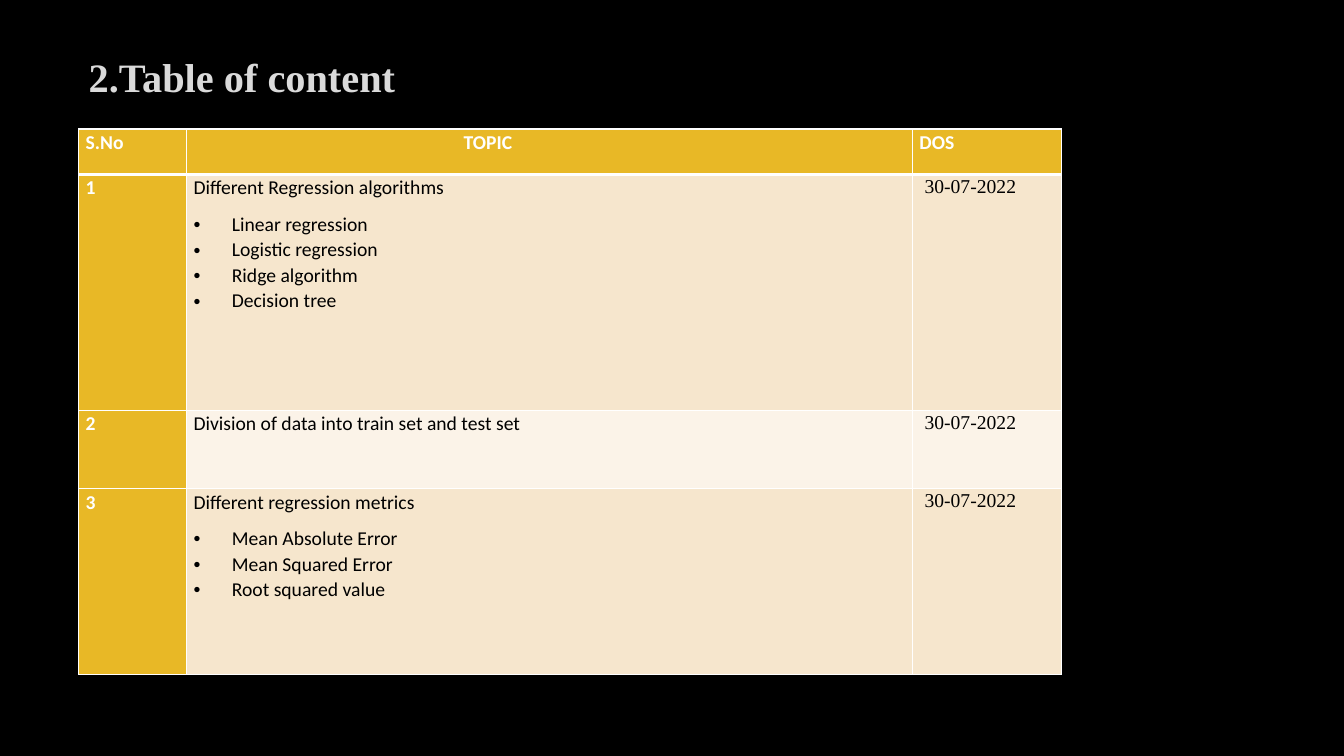
from lxml import etree
from pptx import Presentation
from pptx.dml.color import RGBColor
from pptx.enum import text
from pptx.oxml import ns
from pptx.util import Inches, Pt

GOLD, SAND, CREAM = "E8B826", "F6E6CD", "FBF3E8"
WHITE, BLACK, SILVER = "FFFFFF", "000000", "DADADA"
SANS, SERIF = "Calibri", "Times New Roman"
COLUMNS = [1.07, 7.2, 1.48]
ROWS = [0.45, 2.34, 0.78, 1.84]
DATE = "30-07-2022"
TOPICS = [
    ("Different Regression algorithms",
     ["Linear regression", "Logistic regression", "Ridge algorithm", "Decision tree"]),
    ("Division of data into train set and test set", []),
    ("Different regression metrics",
     ["Mean Absolute Error", "Mean Squared Error", "Root squared value"]),
]


def rgb(color):
    return RGBColor.from_string(color)


def format_paragraph(p, size, font, color, bold=False, after=8):
    p.alignment = text.PP_ALIGN.LEFT
    p.line_spacing = 1.07
    p.space_before = Pt(0)
    p.space_after = Pt(after)
    for r in p.runs:
        r.font.size = Pt(size)
        r.font.name = font
        r.font.bold = bold
        r.font.color.rgb = rgb(color)


def indent(p, left, first=0):
    pPr = p._p.get_or_add_pPr()
    pPr.set("marL", str(Inches(left)))
    pPr.set("indent", str(Inches(first)))


def add_bullet(p):
    indent(p, 0.38, -0.38)
    pPr = p._p.get_or_add_pPr()
    etree.SubElement(pPr, ns.qn("a:buFont"), typeface="Arial")
    etree.SubElement(pPr, ns.qn("a:buChar"), char="•")


def set_borders(cell, **widths):
    """Draw white borders, 1 pt wide unless a side (L, R, T, B) is given."""
    tcPr = cell._tc.get_or_add_tcPr()
    for side in "LRTB":
        ln = etree.SubElement(tcPr, ns.qn("a:ln" + side), w=str(Pt(widths.get(side, 1))))
        fill = etree.SubElement(ln, ns.qn("a:solidFill"))
        etree.SubElement(fill, ns.qn("a:srgbClr"), val=WHITE)


def fill_cell(cell, words, fill, color=BLACK, font=SANS, bold=False, left=0, bullets=()):
    cell.margin_left = cell.margin_right = Inches(0.07)
    cell.margin_top = cell.margin_bottom = 0
    cell.fill.solid()
    cell.fill.fore_color.rgb = rgb(fill)
    tf = cell.text_frame
    tf.text = words
    p = tf.paragraphs[0]
    format_paragraph(p, 14, font, color, bold)
    indent(p, left)
    for number, bullet in enumerate(bullets, 1):
        p = tf.add_paragraph()
        p.text = bullet
        format_paragraph(p, 14, font, color, after=8 if number == len(bullets) else 0)
        add_bullet(p)


def add_title(slide, words):
    title = slide.shapes.title
    title.left, title.top = Inches(0.78), Inches(0.43)
    title.width, title.height = Inches(5.89), Inches(0.62)
    tf = title.text_frame
    tf.text = words
    tf.auto_size = text.MSO_AUTO_SIZE.NONE
    tf.vertical_anchor = text.MSO_ANCHOR.BOTTOM
    format_paragraph(tf.paragraphs[0], 28.8, SERIF, SILVER, bold=True)


def add_contents(slide):
    frame = slide.shapes.add_table(len(ROWS), len(COLUMNS), Inches(0.78), Inches(1.28),
                                   Inches(sum(COLUMNS)), Inches(sum(ROWS)))
    table = frame.table
    for column, width in zip(table.columns, COLUMNS):
        column.width = Inches(width)
    for row, height in zip(table.rows, ROWS):
        row.height = Inches(height)
    for cell in table.iter_cells():
        set_borders(cell)
    for i in range(len(COLUMNS)):
        for ln in table.cell(0, i)._tc.tcPr.findall(ns.qn("a:lnB")):
            ln.set("w", str(Pt(3)))

    for i, (heading, left) in enumerate([("S.No", 0), ("TOPIC", 2.68), ("DOS", 0)]):
        fill_cell(table.cell(0, i), heading, GOLD, WHITE, bold=True, left=left)
    for i, (topic, bullets) in enumerate(TOPICS, 1):
        band = SAND if i % 2 else CREAM
        fill_cell(table.cell(i, 0), str(i), GOLD, WHITE, bold=True)
        fill_cell(table.cell(i, 1), topic, band, bullets=bullets)
        fill_cell(table.cell(i, 2), DATE, band, font=SERIF, left=0.05)


def main():
    prs = Presentation()
    prs.slide_width, prs.slide_height = Inches(13.33), Inches(7.5)
    slide = prs.slides.add_slide(prs.slide_layouts[5])
    slide.background.fill.solid()
    slide.background.fill.fore_color.rgb = rgb(BLACK)
    add_title(slide, "2.Table of content")
    add_contents(slide)
    prs.save("out.pptx")


if __name__ == "__main__":
    main()
